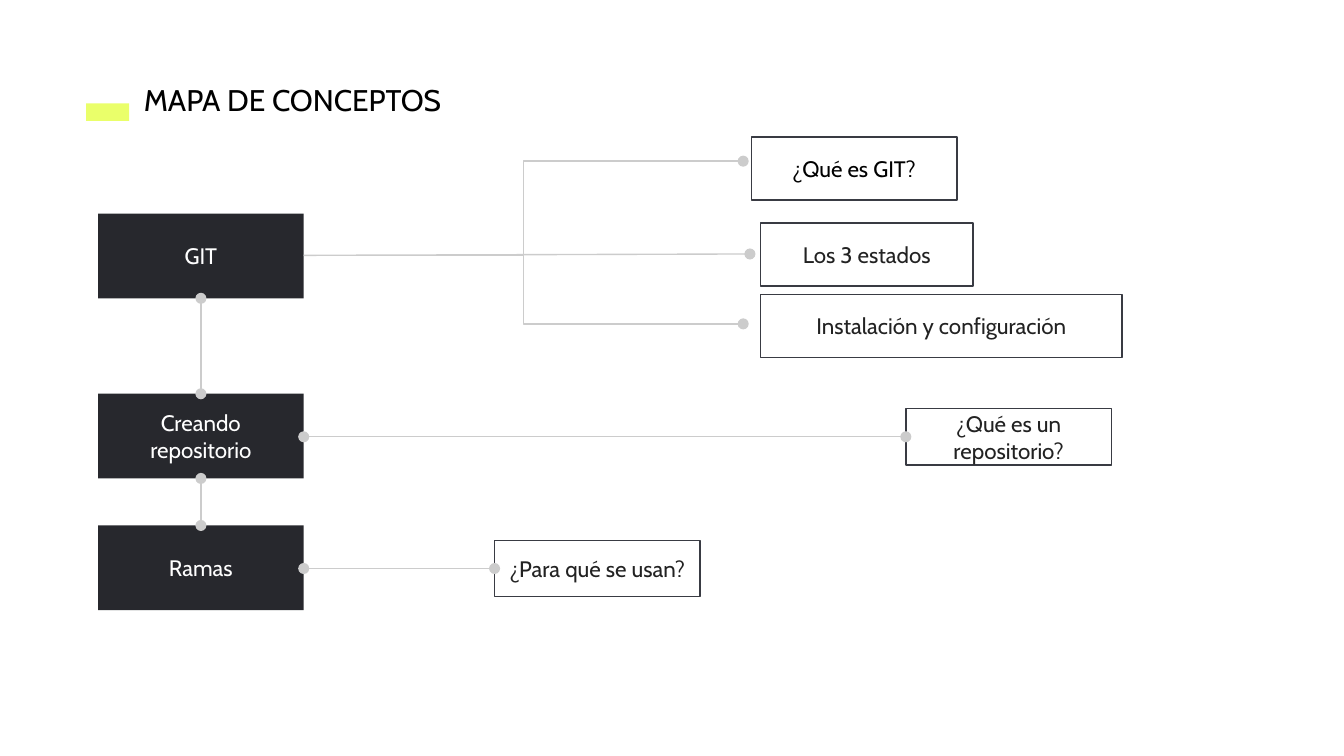
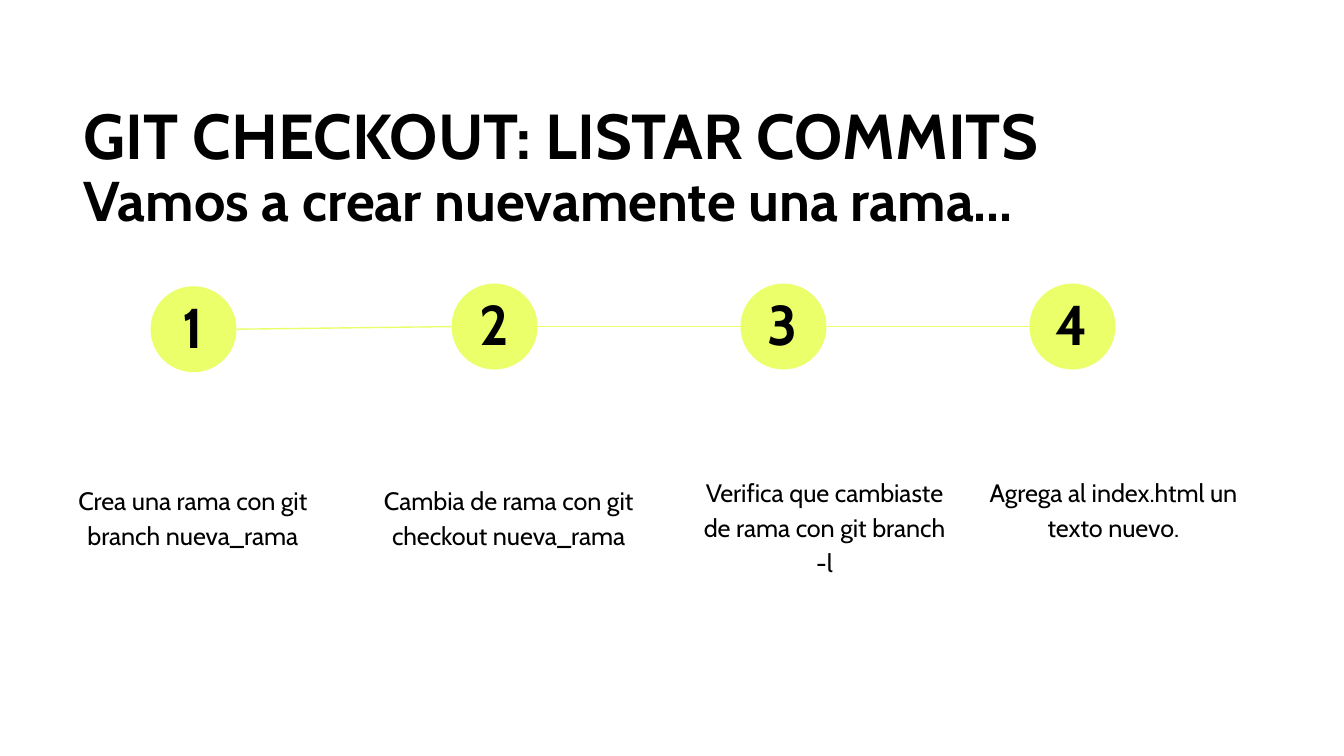
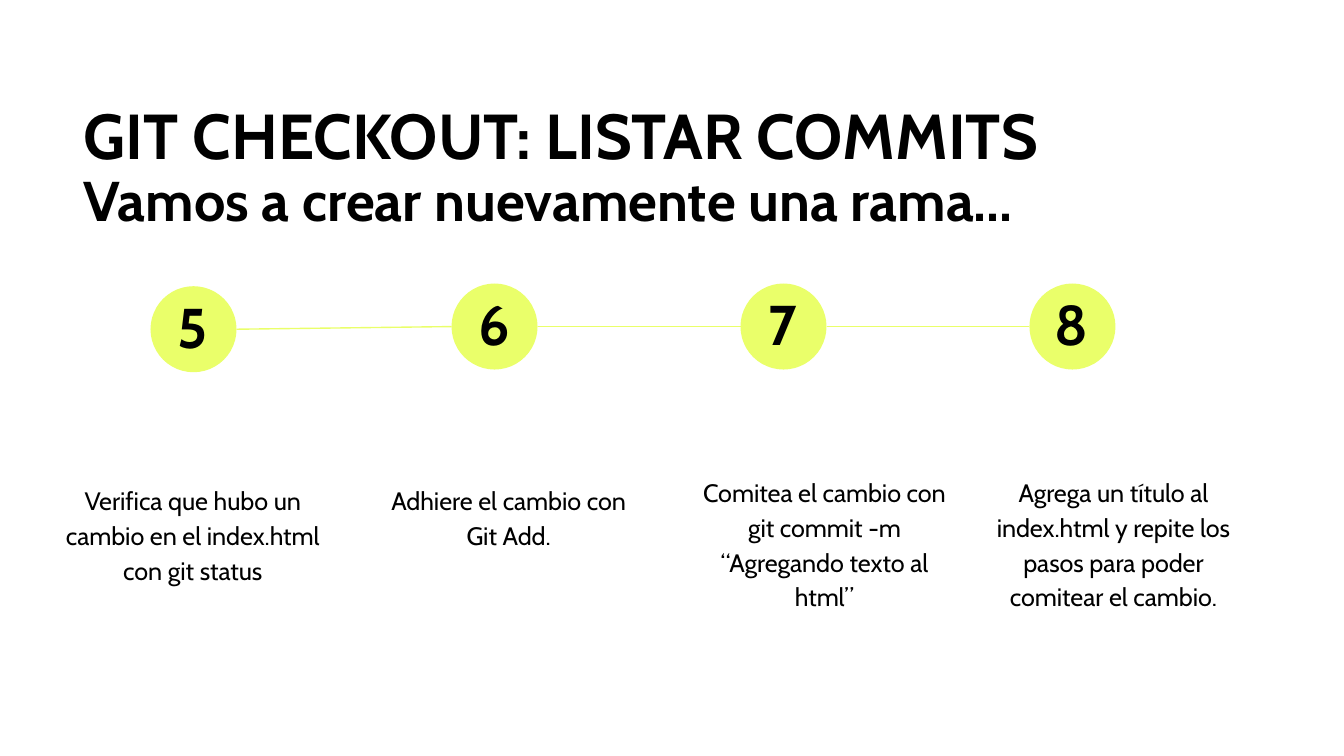
from pptx import Presentation
from pptx.dml.color import RGBColor
from pptx.enum.shapes import MSO_CONNECTOR as Connector, MSO_SHAPE as Preset
from pptx.enum.text import MSO_ANCHOR as Anchor, MSO_AUTO_SIZE as AutoSize, PP_ALIGN as Align
from pptx.oxml.ns import qn
from pptx.util import Inches, Pt
from lxml.etree import SubElement

FONT = "Cabin"
BLACK, WHITE, INK = "000000", "FFFFFF", "222222"
LIME, DARK, BORDER, GREY = "EAFF6A", "27282D", "393B43", "CCCCCC"

TOPIC_LEFT, TOPIC_WIDTH, TOPIC_HEIGHT = 0.73, 1.53, 0.63
TOPIC_RIGHT = TOPIC_LEFT + TOPIC_WIDTH
TOPIC_CENTER = TOPIC_LEFT + TOPIC_WIDTH / 2
TOPICS = [("GIT", 1.59), ("Creando repositorio", 2.93), ("Ramas", 3.91)]
CONCEPTS = [
    ("¿Qué es GIT?", 5.59, 1.02, 1.53, 0.47, BLACK, None),
    ("Los 3 estados", 5.66, 1.66, 1.58, 0.47, INK, None),
    ("Instalación y configuración", 5.66, 2.19, 2.69, 0.47, INK, None),
    ("¿Qué es un repositorio?", 6.74, 3.04, 1.53, 0.42, INK, WHITE),
    ("¿Para qué se usan?", 3.68, 4.02, 1.53, 0.42, INK, WHITE),
]

DIAMETER = 0.64
CIRCLES = [(1.12, 2.13)] + [(3.36 + 2.15 * index, 2.11) for index in range(3)]
CAPTIONS = [(0.37, 3.48), (2.72, 3.48), (5.07, 3.42), (7.22, 3.42)]
CHECKOUT_TITLE = [("GIT CHECKOUT: LISTAR COMMITS", 34), ("Vamos a crear nuevamente una rama...", 30)]
FIRST_STEPS = [
    ("Crea una rama con git branch nueva_rama", 0.69),
    ("Cambia de rama con git checkout nueva_rama", 0.95),
    ("Verifica que cambiaste de rama con git branch -l", 0.95),
    ("Agrega al index.html un texto nuevo.", 0.69),
]
LAST_STEPS = [
    ("Verifica que hubo un cambio en el index.html con git status", 1.21),
    ("Adhiere el cambio con Git Add.", 0.69),
    ("Comitea el cambio con git commit -m “Agregando texto al html”", 1.21),
    ("Agrega un título al index.html y repite los pasos para poder comitear el cambio.", 1.21),
]


def rgb(value):
    """Turn a hex string into a colour."""
    return RGBColor.from_string(value)


def write_text(shape, lines, color=BLACK, bold=False, align=Align.CENTER, anchor=Anchor.TOP, spacing=1.0):
    """Write (text, size) lines into a shape, one paragraph each."""
    frame = shape.text_frame
    frame.word_wrap = True
    frame.auto_size = AutoSize.NONE
    frame.vertical_anchor = anchor
    frame.margin_left = frame.margin_right = frame.margin_top = frame.margin_bottom = Inches(0.1)
    for index, (text, size) in enumerate(lines):
        paragraph = frame.add_paragraph() if index else frame.paragraphs[0]
        paragraph.alignment = align
        paragraph.line_spacing = spacing
        run = paragraph.add_run()
        run.text = text
        run.font.name = FONT
        run.font.size = Pt(size)
        run.font.bold = bold
        run.font.color.rgb = rgb(color)


def add_title(slide, lines, left, top, width, height, bold=False, spacing=1.0):
    """Place and fill the title placeholder."""
    title = slide.shapes.title
    title.left, title.top, title.width, title.height = map(Inches, (left, top, width, height))
    write_text(title, lines, bold=bold, align=Align.LEFT, spacing=spacing)


def add_preset(slide, preset, left, top, width, height, fill=None, border=None):
    """Add a flat preset shape."""
    shape = slide.shapes.add_shape(preset, *map(Inches, (left, top, width, height)))
    shape.shadow.inherit = False
    if fill:
        shape.fill.solid()
        shape.fill.fore_color.rgb = rgb(fill)
    else:
        shape.fill.background()
    if border:
        shape.line.color.rgb = rgb(border)
        shape.line.width = Pt(0.75)
    else:
        shape.line.fill.background()
    return shape


def add_box(slide, text, left, top, width, height, color, fill=None, border=None):
    """Add a rectangle with a centred label."""
    box = add_preset(slide, Preset.RECTANGLE, left, top, width, height, fill, border)
    write_text(box, [(text, 12)], color, anchor=Anchor.MIDDLE)


def add_text_box(slide, text, size, left, top, width, height, **style):
    """Add a text box with one paragraph."""
    box = slide.shapes.add_textbox(*map(Inches, (left, top, width, height)))
    write_text(box, [(text, size)], **style)


def add_line(slide, start, end, color, kind=Connector.STRAIGHT, dots=()):
    """Add a thin connector with round dots at the named ends."""
    connector = slide.shapes.add_connector(kind, *map(Inches, (*start, *end)))
    connector.line.color.rgb = rgb(color)
    connector.line.width = Pt(0.75)
    properties = connector.element.spPr
    for dot in dots:
        SubElement(properties.find(qn("a:ln")), qn(f"a:{dot}"), type="oval")
    SubElement(properties, qn("a:effectLst"))


def add_concept_map(slide):
    """Build the map of topics and their concepts."""
    both_ends = ("headEnd", "tailEnd")
    add_preset(slide, Preset.RECTANGLE, 0.64, 0.77, 0.32, 0.13, LIME)
    add_title(slide, [("MAPA DE CONCEPTOS", 16)], 0.97, 0.51, 2.69, 0.47)
    for text, top in TOPICS:
        add_box(slide, text, TOPIC_LEFT, top, TOPIC_WIDTH, TOPIC_HEIGHT, WHITE, DARK)
    for text, left, top, width, height, color, fill in CONCEPTS:
        add_box(slide, text, left, top, width, height, color, fill, BORDER)
    for (_, upper), (_, lower) in zip(TOPICS, TOPICS[1:]):
        add_line(slide, (TOPIC_CENTER, upper + TOPIC_HEIGHT), (TOPIC_CENTER, lower), GREY, dots=both_ends)
    git_side = (TOPIC_RIGHT, 1.9)
    for y in (1.2, 2.41):
        add_line(slide, git_side, (5.53, y), GREY, Connector.ELBOW, ("tailEnd",))
    add_line(slide, git_side, (5.58, 1.89), GREY, dots=("tailEnd",))
    for right, y in ((6.74, 3.25), (3.68, 4.23)):
        add_line(slide, (TOPIC_RIGHT, y), (right, y), GREY, dots=both_ends)


def add_steps(slide, first_number, steps):
    """Build a row of numbered circles with captions."""
    add_title(slide, CHECKOUT_TITLE, 0.52, 0.68, 8.9, 1.17, bold=True, spacing=0.9)
    radius = DIAMETER / 2
    for (left, top), (next_left, next_top) in zip(CIRCLES, CIRCLES[1:]):
        add_line(slide, (left + DIAMETER, top + radius), (next_left, next_top + radius), LIME)
    for index, ((text, height), circle, caption) in enumerate(zip(steps, CIRCLES, CAPTIONS)):
        left, top = circle
        add_preset(slide, Preset.OVAL, left, top, DIAMETER, DIAMETER, LIME)
        add_text_box(slide, str(first_number + index), 30, left + 0.09, top, 0.45, 0.66, bold=True, spacing=0.9)
        add_text_box(slide, text, 13.5, *caption, 2.13, height, spacing=1.15)


def main():
    """Build the presentation and save it."""
    presentation = Presentation()
    presentation.slide_width = Inches(10)
    presentation.slide_height = Inches(10 * 9 / 16)
    map_slide, first_slide, last_slide = (
        presentation.slides.add_slide(presentation.slide_layouts[5]) for _ in range(3)
    )
    add_concept_map(map_slide)
    add_steps(first_slide, 1, FIRST_STEPS)
    add_steps(last_slide, 5, LAST_STEPS)
    presentation.save("out.pptx")


if __name__ == "__main__":
    main()
